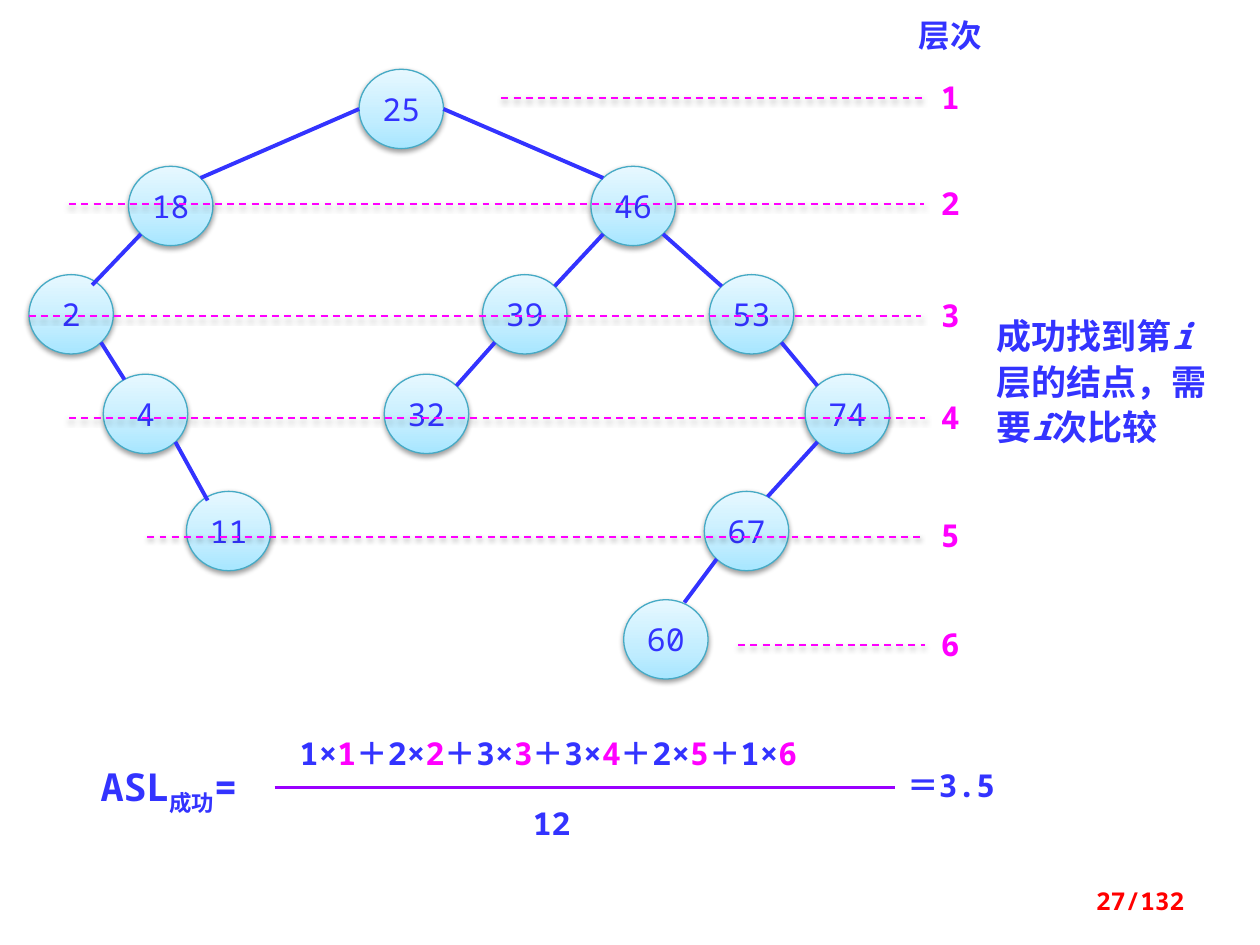
from dataclasses import dataclass
from math import sqrt

from pptx import Presentation
from pptx.dml.color import RGBColor
from pptx.enum.dml import MSO_LINE
from pptx.enum.shapes import MSO_CONNECTOR, MSO_SHAPE
from pptx.enum.text import MSO_ANCHOR, PP_ALIGN
from pptx.oxml import parse_xml
from pptx.oxml.ns import nsdecls, qn
from pptx.util import Inches, Pt

STRAIGHT = MSO_CONNECTOR.STRAIGHT
OVAL = MSO_SHAPE.OVAL
DASH = MSO_LINE.DASH
LEFT, CENTER, RIGHT = PP_ALIGN.LEFT, PP_ALIGN.CENTER, PP_ALIGN.RIGHT
TOP, MIDDLE = MSO_ANCHOR.TOP, MSO_ANCHOR.MIDDLE

MONO, CJK = "Noto Sans Mono", "Noto Sans CJK SC"
BLUE, MAGENTA, PURPLE, RED, TEAL = "3333FF", "FF00FF", "9900FF", "FF0000", "46AAC5"
NODE_GRADIENT = [(0, "A7E6FF"), (35, "C1EDFF"), (100, "E7F8FF")]
NODE_WIDTH, NODE_HEIGHT = 0.67, 0.63
LABEL_LEFT = 7.37
SHADOW = (
    '<a:outerShdw blurRad="40000" dist="20000" dir="5400000" rotWithShape="0">'
    '<a:srgbClr val="000000"><a:alpha val="38000"/></a:srgbClr></a:outerShdw>'
)


@dataclass
class Node:
    key: int
    left: float
    top: float
    parent: int | None = None
    end_shift: tuple[float, float] = (0, 0)  # moves the edge end off the 45° point

    @property
    def center(self) -> tuple[float, float]:
        return self.left + NODE_WIDTH / 2, self.top + NODE_HEIGHT / 2

    def diagonal_point(self, x_side: int, y_side: int) -> tuple[float, float]:
        """Point of the outline at 45°; sides are -1 or 1."""
        x, y = self.center
        return (x + x_side * NODE_WIDTH / 2 / sqrt(2),
                y + y_side * NODE_HEIGHT / 2 / sqrt(2))


@dataclass
class Level:
    number: int
    label_top: float
    line_start: float
    line_end: float


@dataclass
class Run:
    text: str
    color: str = BLUE
    italic: bool = False
    baseline: int = 0


NODES = [
    Node(25, 2.85, 0.55),
    Node(18, 1.02, 1.32, 25),
    Node(2, 0.23, 2.18, 18, (-0.07, -0.01)),
    Node(4, 0.82, 2.97, 2, (0.07, -0.05)),
    Node(11, 1.48, 3.9, 4, (0.07, -0.02)),
    Node(46, 4.69, 1.32, 25),
    Node(39, 3.83, 2.18, 46),
    Node(32, 3.05, 2.97, 39),
    Node(53, 5.63, 2.18, 46),
    Node(74, 6.39, 2.97, 53),
    Node(67, 5.59, 3.9, 74, (-0.07, -0.05)),
    Node(60, 4.95, 4.76, 67, (-0.09, -0.07)),
]
LEVELS = [
    Level(1, 0.57, 3.98, 7.34),
    Level(2, 1.41, 0.55, 7.33),
    Level(3, 2.3, 0.23, 7.31),
    Level(4, 3.11, 0.55, 7.34),
    Level(5, 4.05, 1.17, 7.34),
    Level(6, 4.91, 5.86, 7.34),
]
NODES_PER_LEVEL = [1, 2, 3, 3, 2, 1]


def rgb(color: str) -> RGBColor:
    return RGBColor.from_string(color)


def set_effects(shape, effects: str = "") -> None:
    shape._element.spPr.append(
        parse_xml(f'<a:effectLst {nsdecls("a")}>{effects}</a:effectLst>'))


def add_runs(paragraph, runs: list[Run], size: float, bold: bool = True,
             font_name: str = MONO) -> None:
    for item in runs:
        run = paragraph.add_run()
        run.text = item.text
        formats = {"name": font_name, "size": Pt(size), "bold": bold, "italic": item.italic}
        for name, value in formats.items():
            setattr(run.font, name, value)
        run.font.color.rgb = rgb(item.color)
        properties = run._r.get_or_add_rPr()
        properties.find(qn("a:latin")).addnext(
            parse_xml(f'<a:ea {nsdecls("a")} typeface="{CJK}"/>'))
        if item.baseline:
            properties.set("baseline", str(item.baseline * 1000))


def add_text(slide, box: tuple[float, float, float, float], runs: list[Run],
             size: float = 18, alignment=LEFT, anchor=TOP, font_name: str = MONO,
             line_spacing: float | None = None) -> None:
    frame = slide.shapes.add_textbox(*map(Inches, box)).text_frame
    frame.word_wrap = True
    frame.vertical_anchor = anchor
    paragraph = frame.paragraphs[0]
    paragraph.alignment = alignment
    if line_spacing:
        paragraph.line_spacing = Pt(line_spacing)
    add_runs(paragraph, runs, size, font_name=font_name)


def add_line(slide, start: tuple[float, float], end: tuple[float, float], color: str,
             width: float = 2.25, dash=None, effects: str = "") -> None:
    connector = slide.shapes.add_connector(STRAIGHT, *map(Inches, (*start, *end)))
    connector.line.color.rgb = rgb(color)
    connector.line.width = Pt(width)
    if dash:
        connector.line.dash_style = dash
    set_effects(connector, effects)


def add_node(slide, node: Node) -> None:
    shape = slide.shapes.add_shape(
        OVAL, *map(Inches, (node.left, node.top, NODE_WIDTH, NODE_HEIGHT)))
    shape.fill.gradient()
    shape.fill.gradient_angle = 90
    stops = shape._element.spPr.find(".//" + qn("a:gsLst"))
    stops[:] = [
        parse_xml(f'<a:gs {nsdecls("a")} pos="{position * 1000}">'
                  f'<a:srgbClr val="{color}"/></a:gs>')
        for position, color in NODE_GRADIENT
    ]
    shape.line.color.rgb = rgb(TEAL)
    shape.line.width = Pt(0.75)
    set_effects(shape, SHADOW)
    frame = shape.text_frame
    frame.margin_left = frame.margin_right = 0
    frame.vertical_anchor = MIDDLE
    frame.paragraphs[0].alignment = CENTER
    add_runs(frame.paragraphs[0], [Run(str(node.key))], 18, bold=False)


def add_edge(slide, parent: Node, child: Node) -> None:
    side = -1 if child.left < parent.left else 1
    if parent.parent is None:
        x, y = parent.center
        start = x + side * NODE_WIDTH / 2, y
    else:
        start = parent.diagonal_point(side, 1)
    x, y = child.diagonal_point(-side, -1)
    add_line(slide, start, (x + child.end_shift[0], y + child.end_shift[1]), BLUE)


def add_level(slide, level: Level) -> None:
    add_text(slide, (LABEL_LEFT, level.label_top, 0.47, 0.4),
             [Run(str(level.number), MAGENTA)])
    y = level.label_top + 0.21
    add_line(slide, (level.line_start, y), (level.line_end, y), MAGENTA, 1, DASH, SHADOW)


def add_formula(slide) -> None:
    add_text(slide, (0.7, 6.01, 1.47, 0.47),
             [Run("ASL"), Run("成功", baseline=-25), Run("=")], 22)
    numerator = []
    for level, count in enumerate(NODES_PER_LEVEL, start=1):
        sign = "＋" if numerator else ""
        numerator += [Run(f"{sign}{count}×"), Run(str(level), MAGENTA)]
    add_text(slide, (2.28, 5.78, 5.67, 0.4), numerator)
    add_text(slide, (4.13, 6.33, 0.71, 0.4), [Run(str(sum(NODES_PER_LEVEL)))])
    add_text(slide, (7.1, 6.03, 1.02, 0.4), [Run("＝3.5")])
    add_line(slide, (2.18, 6.25), (7.1, 6.25), PURPLE)


def main() -> None:
    presentation = Presentation()
    presentation.slide_width, presentation.slide_height = Inches(10), Inches(7.5)
    slide = presentation.slides.add_slide(presentation.slide_layouts[6])

    nodes_by_key = {node.key: node for node in NODES}
    for node in NODES:
        add_node(slide, node)
        if node.parent is not None:
            add_edge(slide, nodes_by_key[node.parent], node)
    add_formula(slide)
    add_text(slide, (7.81, 2.42, 1.95, 1.19),
             [Run("成功找到第"), Run("i", italic=True), Run("层的结点，需要"),
              Run("i", italic=True), Run("次比较")], 20, line_spacing=26)
    add_text(slide, (7.03, 0.08, 1.02, 0.4), [Run("层次")], alignment=CENTER, font_name=CJK)
    for level in LEVELS:
        add_level(slide, level)
    add_text(slide, (7.17, 6.95, 2.33, 0.4), [Run("27/132", RED)], 14, RIGHT, MIDDLE)
    presentation.save("out.pptx")


if __name__ == "__main__":
    main()
